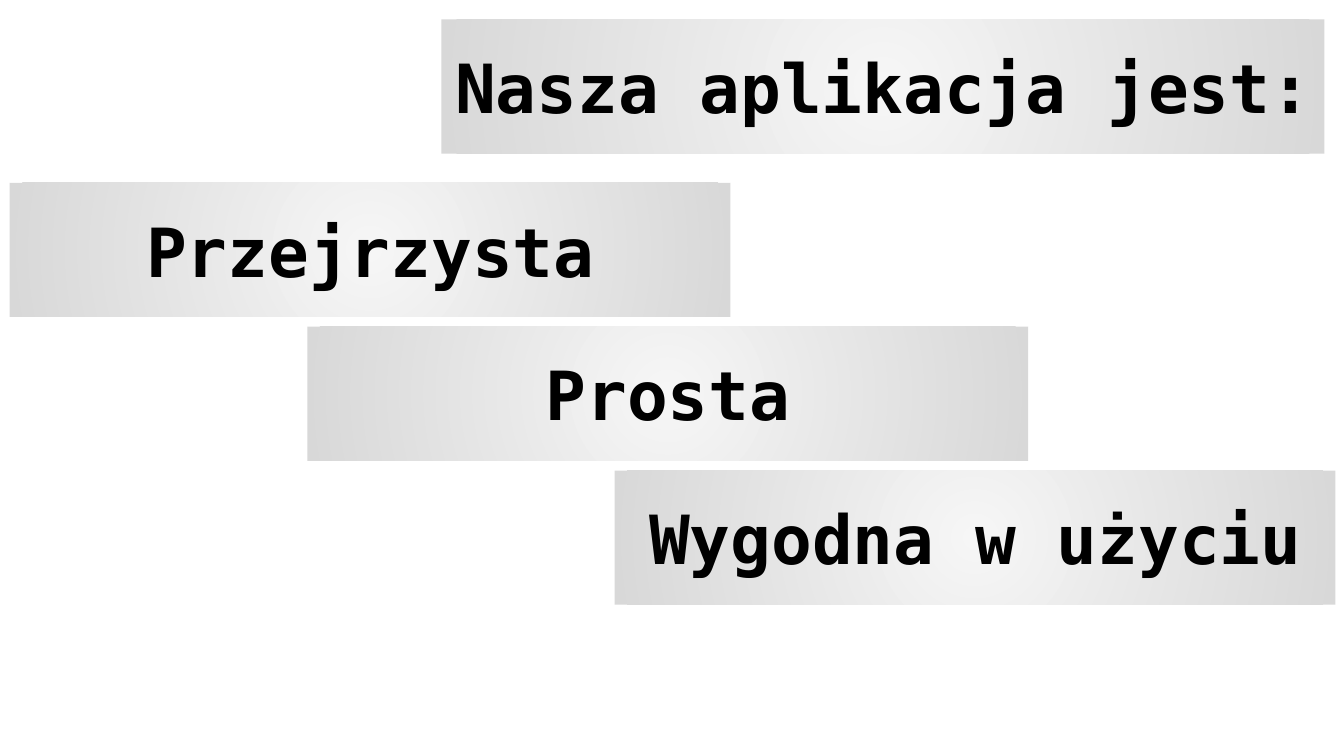
from pptx import Presentation
from pptx.enum.shapes import MSO_SHAPE
from pptx.enum.text import MSO_ANCHOR, PP_ALIGN
from pptx.dml.color import RGBColor
from pptx.oxml import parse_xml
from pptx.oxml.ns import nsdecls, qn
from pptx.util import Inches, Pt

RECTANGLE = MSO_SHAPE.RECTANGLE
MIDDLE = MSO_ANCHOR.MIDDLE
CENTER = PP_ALIGN.CENTER

COLORS = {"center": "EEEEEE", "edge": "B2B2B2", "text": "000000"}
FONT = "DejaVu Sans Mono"
SLIDE_WIDTH, SLIDE_HEIGHT = 11.02, 6.2

BANNER_HEIGHT = 1.1
HEADING = ("Nasza aplikacja jest:", 3.62, 0.16, 7.24)
FEATURES = [("Przejrzysta", 0.08), ("Prosta", 2.52), ("Wygodna w użyciu", 5.04)]
FEATURE_WIDTH = 5.91
FIRST_FEATURE_TOP = 1.5
FEATURE_STEP = 1.18


def fill_radial(banner):
    """Fill with a half-transparent gradient spreading from the middle."""
    stops = "".join(
        f'<a:gs pos="{position}"><a:srgbClr val="{COLORS[name]}">'
        '<a:alpha val="50000"/></a:srgbClr></a:gs>'
        for position, name in ((0, "center"), (100000, "edge"))
    )
    gradient = parse_xml(
        f'<a:gradFill {nsdecls("a")} rotWithShape="1"><a:gsLst>{stops}</a:gsLst>'
        '<a:path path="circle"><a:fillToRect l="50000" t="50000" r="50000" b="50000"/>'
        "</a:path></a:gradFill>"
    )
    banner.fill.background()
    properties = banner.element.spPr
    properties.replace(properties.find(qn("a:noFill")), gradient)


def add_banner(slide, wording, left, top, width):
    banner = slide.shapes.add_shape(
        RECTANGLE, Inches(left), Inches(top), Inches(width), Inches(BANNER_HEIGHT)
    )
    banner.shadow.inherit = False
    banner.line.fill.background()
    fill_radial(banner)

    frame = banner.text_frame
    frame.word_wrap = True
    frame.vertical_anchor = MIDDLE
    frame.text = wording
    paragraph = frame.paragraphs[0]
    paragraph.alignment = CENTER
    font = paragraph.runs[0].font
    font.name = FONT
    font.size = Pt(40)
    font.bold = True
    font.color.rgb = RGBColor.from_string(COLORS["text"])


def main():
    presentation = Presentation()
    presentation.slide_width = Inches(SLIDE_WIDTH)
    presentation.slide_height = Inches(SLIDE_HEIGHT)
    slide = presentation.slides.add_slide(presentation.slide_layouts[6])

    add_banner(slide, *HEADING)
    for row, (feature, left) in enumerate(FEATURES):
        top = FIRST_FEATURE_TOP + row * FEATURE_STEP
        add_banner(slide, feature, left, top, FEATURE_WIDTH)

    presentation.save("out.pptx")


if __name__ == "__main__":
    main()
